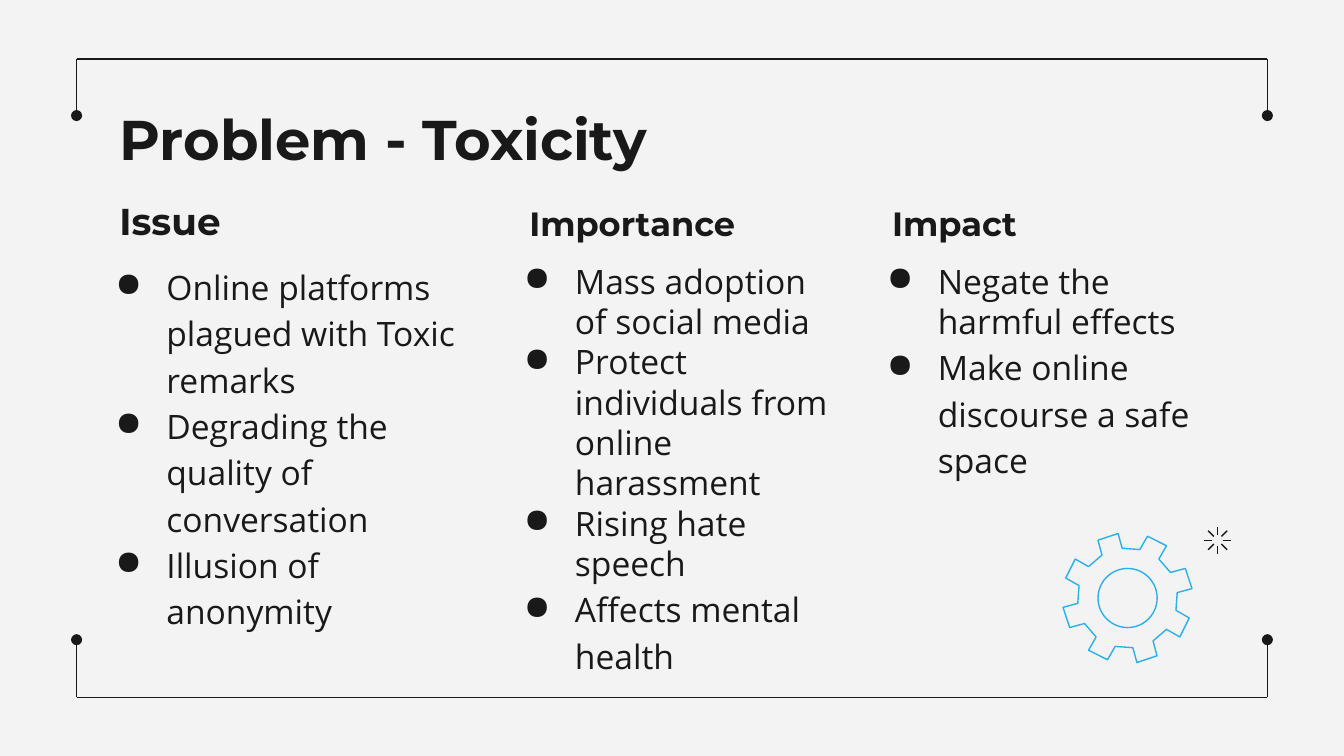
from math import cos, pi, sin

from lxml import etree
from pptx import Presentation
from pptx import util as u
from pptx.dml.color import RGBColor
from pptx.enum import shapes, text
from pptx.oxml import ns

INK, BLUE, PAPER = "191919", "2AAFEB", "F3F3F3"
TITLE = "Problem - Toxicity"
COLUMNS = [
    {"heading": "Issue", "size": 20, "heading_left": 0.79, "list_left": 0.64, "list_width": 3,
     "points": [("Online platforms plagued with Toxic remarks", 1.15),
                ("Degrading the quality of conversation", 1.15),
                ("Illusion of anonymity", 1.15)]},
    {"heading": "Importance", "size": 18, "heading_left": 3.84, "list_left": 3.68, "list_width": 2.66,
     "points": [("Mass adoption of social media", 1.0),
                ("Protect individuals from online harassment", 1.0),
                ("Rising hate speech", 1.0),
                ("Affects mental health", 1.15)]},
    {"heading": "Impact", "size": 18, "heading_left": 6.54, "list_left": 6.38, "list_width": 2.66,
     "points": [("Negate the harmful effects", 1.0),
                ("Make online discourse a safe space", 1.15)]},
]
HEADING_TOP, HEADING_HEIGHT = 1.3, 0.61
LIST_TOP, LIST_HEIGHT = 1.84, 3.2
FRAME_LEFT, FRAME_RIGHT = 0.57, 9.43
FRAME_EDGES = [(0.44, 0.86), (5.19, 4.76)]
GEAR_CENTER, GEAR_HOLE = (8.39, 4.45), 0.22
GEAR_TOOTH = [(-0.19, -0.32), (-0.22, -0.43), (-0.07, -0.48), (-0.04, -0.37)]
SPARK_CENTER, SPARK_INNER, SPARK_OUTER = (9.06, 4.02), 0.04, 0.1
TURNS = [step * pi / 4 for step in range(8)]


def color(value):
    return RGBColor.from_string(value)


def apply(target, values):
    for name, value in values.items():
        setattr(target, name, value)


def add_box(page, left, top, width, height, anchor=text.MSO_ANCHOR.TOP):
    box = page.shapes.add_textbox(*map(u.Inches, (left, top, width, height)))
    frame = box.text_frame
    margins = dict.fromkeys(("margin_left", "margin_top", "margin_right", "margin_bottom"), u.Inches(0.1))
    apply(frame, {"word_wrap": True, "vertical_anchor": anchor, **margins})
    return frame


def write(para, words, size, font, bold=False):
    span = para.add_run()
    span.text = words
    apply(span.font, {"size": u.Pt(size), "name": font, "bold": bold})
    span.font.color.rgb = color(INK)


def add_bullet(para):
    props = para._p.get_or_add_pPr()
    props.set("marL", str(u.Inches(0.5)))
    props.set("indent", str(u.Inches(-0.38)))
    tint = etree.SubElement(props, ns.qn("a:buClr"))
    etree.SubElement(tint, ns.qn("a:srgbClr")).set("val", INK)
    etree.SubElement(props, ns.qn("a:buChar")).set("char", "●")


def add_line(page, start, end, dot=False):
    line = page.shapes.add_connector(shapes.MSO_CONNECTOR.STRAIGHT, *map(u.Inches, (*start, *end)))
    line.line.width = u.Pt(0.75)
    line.line.color.rgb = color(INK)
    if dot:
        etree.SubElement(line.line._get_or_add_ln(), ns.qn("a:tailEnd")).set("type", "oval")
    etree.SubElement(line._element.spPr, ns.qn("a:effectLst"))


def outline(shape):
    shape.shadow.inherit = False
    shape.fill.background()
    shape.line.width = u.Pt(0.75)
    shape.line.color.rgb = color(BLUE)


def turned(center, point, angle):
    x, y = point
    return (center[0] + x * cos(angle) - y * sin(angle),
            center[1] + x * sin(angle) + y * cos(angle))


def add_gear(page):
    corners = [tuple(map(u.Inches, turned(GEAR_CENTER, point, angle)))
               for angle in TURNS for point in GEAR_TOOTH]
    builder = page.shapes.build_freeform(*corners[0])
    builder.add_line_segments(corners[1:], close=True)
    outline(builder.convert_to_shape())
    left, top = (middle - GEAR_HOLE for middle in GEAR_CENTER)
    outline(page.shapes.add_shape(shapes.MSO_SHAPE.OVAL, *map(
        u.Inches, (left, top, 2 * GEAR_HOLE, 2 * GEAR_HOLE))))


def main():
    deck = Presentation()
    deck.slide_width = u.Inches(10)
    deck.slide_height = deck.slide_width * 9 // 16
    page = deck.slides.add_slide(deck.slide_layouts[6])
    page.background.fill.solid()
    page.background.fill.fore_color.rgb = color(PAPER)

    for edge, end in FRAME_EDGES:
        add_line(page, (FRAME_LEFT, edge), (FRAME_RIGHT, edge))
        for side in (FRAME_LEFT, FRAME_RIGHT):
            add_line(page, (side, edge), (side, end), dot=True)

    write(add_box(page, 0.79, 0.68, 8.43, 0.63).paragraphs[0], TITLE, 30, "Montserrat", True)
    for column in COLUMNS:
        heading = add_box(page, column["heading_left"], HEADING_TOP, 3, HEADING_HEIGHT,
                          text.MSO_ANCHOR.BOTTOM)
        write(heading.paragraphs[0], column["heading"], column["size"], "Montserrat", True)
        body = add_box(page, column["list_left"], LIST_TOP, column["list_width"], LIST_HEIGHT)
        for index, (words, spacing) in enumerate(column["points"]):
            para = body.add_paragraph() if index else body.paragraphs[0]
            add_bullet(para)
            para.line_spacing = spacing
            write(para, words, 18, "Open Sans")

    for angle in TURNS:
        add_line(page, turned(SPARK_CENTER, (SPARK_INNER, 0), angle),
                 turned(SPARK_CENTER, (SPARK_OUTER, 0), angle))
    add_gear(page)
    deck.save("out.pptx")


if __name__ == "__main__":
    main()
